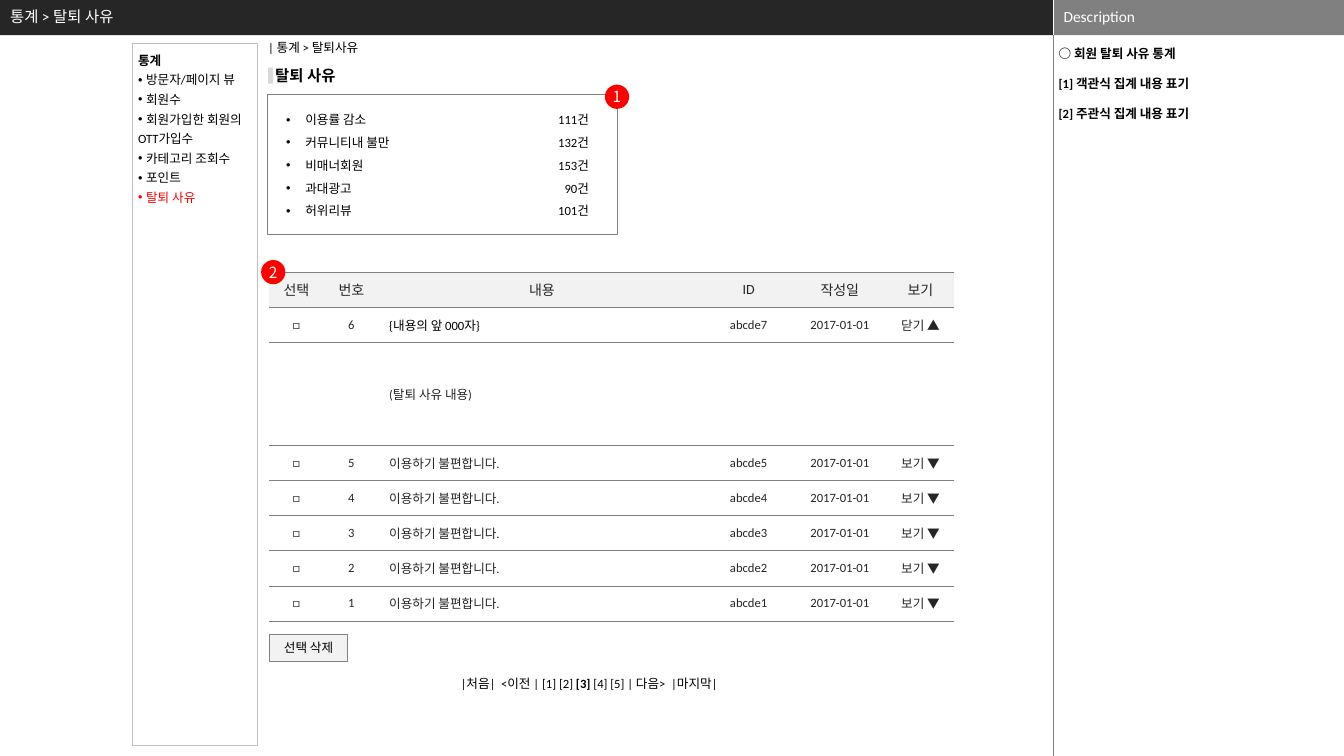
from dataclasses import dataclass, field

from lxml import etree
from pptx import Presentation
from pptx.dml.color import RGBColor
from pptx.enum.shapes import MSO_CONNECTOR, MSO_SHAPE
from pptx.enum.text import MSO_ANCHOR, MSO_AUTO_SIZE, PP_ALIGN
from pptx.oxml.ns import qn
from pptx.util import Inches, Pt

RECT, OVAL = MSO_SHAPE.RECTANGLE, MSO_SHAPE.OVAL
STRAIGHT = MSO_CONNECTOR.STRAIGHT
LEFT, CENTER, RIGHT = PP_ALIGN.LEFT, PP_ALIGN.CENTER, PP_ALIGN.RIGHT
TOP, MIDDLE = MSO_ANCHOR.TOP, MSO_ANCHOR.MIDDLE
NO_FIT = MSO_AUTO_SIZE.NONE

COLS, ROWS = 133.3, 75
COLORS = {
    "black": "000000", "white": "FFFFFF", "ink": "262626", "gray": "808080",
    "border": "BFBFBF", "mark": "D9D9D9", "pale": "F2F2F2", "red": "FF0000",
}
BODY = {"name": "Calibri", "size": Pt(9), "bold": False, "color": "black"}
BADGE = {"name": "Noto Sans CJK KR", "size": Pt(11), "color": "white"}
HEADER = {"size": Pt(11), "color": "white"}
DEFAULT_INSETS = (1, 0.5, 1, 0.5)
NO_INSETS = (0, 0, 0, 0)


@dataclass
class Line:
    runs: list
    font: dict = field(default_factory=dict)
    bullet: float = 0


def rgb(name):
    return RGBColor.from_string(COLORS[name])


def assign(target, values):
    for name, value in values.items():
        setattr(target, name, value)


class Screen:
    def __init__(self, prs):
        self.s = prs.slides.add_slide(prs.slide_layouts[5])
        self.col = prs.slide_width / COLS
        self.row = prs.slide_height / ROWS

    def place(self, x, y, w, h):
        return [round(n) for n in (x * self.col, y * self.row, w * self.col, h * self.row)]

    def paint(self, sp, fill, line, weight):
        sp.shadow.inherit = False
        for part, color in ((sp.fill, fill), (sp.line.fill, line)):
            if color:
                part.solid()
                part.fore_color.rgb = rgb(color)
            else:
                part.background()
        if line:
            sp.line.width = Pt(weight)

    def add_bullet(self, p, indent):
        pPr = p._p.get_or_add_pPr()
        pPr.set("marL", str(round(indent * self.col)))
        pPr.set("indent", str(-round(indent * self.col)))
        etree.SubElement(pPr, qn("a:buFont")).set("typeface", "Arial")
        etree.SubElement(pPr, qn("a:buChar")).set("char", "•")

    def fill_text(self, tf, lines, font=None, insets=DEFAULT_INSETS, anchor=TOP, wrap=True, gap=0, **fmt):
        left, top, right, bottom = self.place(*insets)
        assign(tf, {"auto_size": NO_FIT, "word_wrap": wrap, "vertical_anchor": anchor,
                    "margin_left": left, "margin_top": top,
                    "margin_right": right, "margin_bottom": bottom})
        for i, line in enumerate(lines):
            line = line if isinstance(line, Line) else Line([(line, {})])
            p = tf.paragraphs[0] if i == 0 else tf.add_paragraph()
            assign(p, {"alignment": LEFT, "space_before": Pt(gap if i else 0), **fmt})
            if line.bullet:
                self.add_bullet(p, line.bullet)
            for text, extra in line.runs:
                self.add_run(p, text, {**BODY, **(font or {}), **line.font, **extra})

    def add_run(self, p, text, font):
        r = p.add_run()
        r.text = text
        assign(r.font, {k: v for k, v in font.items() if k != "color"})
        r.font.color.rgb = rgb(font["color"])

    def title(self, text, box, **style):
        sp = self.s.shapes.title
        assign(sp, dict(zip(("left", "top", "width", "height"), self.place(*box))))
        self.s.shapes._spTree.append(sp._element)
        self.fill_text(sp.text_frame, [text], **style)

    def text(self, box, lines, **style):
        sp = self.s.shapes.add_textbox(*self.place(*box))
        self.fill_text(sp.text_frame, lines, **style)

    def shape(self, box, kind=RECT, fill=None, line=None, weight=0.5, lines=(), **style):
        sp = self.s.shapes.add_shape(kind, *self.place(*box))
        self.paint(sp, fill, line, weight)
        if lines:
            self.fill_text(sp.text_frame, lines, **style)

    def badge(self, x, y, number):
        self.shape((x, y, 2.4, 2.4), OVAL, "red", lines=[number], font=BADGE,
                   insets=NO_INSETS, anchor=MIDDLE, wrap=False, alignment=CENTER)

    def rule(self, x, top, bottom, color):
        x, top, _, bottom = self.place(x, top, 0, bottom)
        sp = self.s.shapes.add_connector(STRAIGHT, x, top, x, bottom)
        sp.line.width = Pt(0.25)
        sp.line.color.rgb = rgb(color)
        etree.SubElement(sp._element.spPr, qn("a:effectLst"))

    def edge(self, cell):
        tcPr = cell._tc.get_or_add_tcPr()
        for i, side in enumerate(("lnL", "lnR", "lnT", "lnB")):
            ln = etree.Element(qn(f"a:{side}"), w=str(Pt(0.5)))
            if side in ("lnT", "lnB"):
                fill = etree.SubElement(ln, qn("a:solidFill"))
                etree.SubElement(fill, qn("a:srgbClr")).set("val", COLORS["gray"])
            else:
                etree.SubElement(ln, qn("a:noFill"))
            tcPr.insert(i, ln)

    def table(self, x, y, widths, heights, rows):
        box = self.place(x, y, sum(widths), sum(heights))
        table = self.s.shapes.add_table(len(rows), len(widths), *box).table
        for column, width in zip(table.columns, widths):
            column.width = round(width * self.col)
        for i, (row, height, values) in enumerate(zip(table.rows, heights, rows)):
            row.height = round(height * self.row)
            for j, (cell, value) in enumerate(zip(row.cells, values)):
                if i:
                    cell.fill.background()
                else:
                    cell.fill.solid()
                    cell.fill.fore_color.rgb = rgb("pale")
                self.edge(cell)
                cell.vertical_anchor = MIDDLE
                p = cell.text_frame.paragraphs[0]
                p.alignment = LEFT if i and j == 2 else CENTER
                if value:
                    color = "black" if (i, j) == (1, 2) else "ink"
                    self.add_run(p, value, {**BODY, "size": Pt(9 if i else 10), "color": color})


def main():
    prs = Presentation()
    prs.slide_width, prs.slide_height = Inches(13.33), Inches(7.5)
    screen = Screen(prs)

    screen.shape((0, 0, 104.5, 3.5), fill="ink")
    screen.shape((104.5, 0, 28.8, 3.5), fill="gray")
    screen.rule(104.5, 0, 3.5, "white")
    screen.rule(104.5, 3.5, 75, "gray")
    screen.text((104.5, -0.1, 28.8, 3.5), ["Description"], font=HEADER, anchor=MIDDLE)
    screen.title("통계 > 탈퇴 사유", (0, 0, 101.6, 3.5), font=HEADER, anchor=MIDDLE, line_spacing=0.9)

    screen.text((104.6, 4.6, 23.4, 70), ["○ 회원 탈퇴 사유 통계", "[1] 객관식 집계 내용 표기", "[2] 주관식 집계 내용 표기"],
                font={"bold": True}, insets=(0.4, 0, 0.4, 0), gap=10.5)
    screen.text((25.6, 3.5, 12.1, 2.5), ["| 통계 > 탈퇴사유"], wrap=False)
    screen.text((27.3, 6.6, 6.7, 1.9), ["탈퇴 사유"], font={"size": Pt(11), "bold": True},
                insets=NO_INSETS, wrap=False)
    screen.shape((26.6, 6.7, 0.5, 1.6), fill="mark")

    menu = [Line([("통계", {})], {"bold": True})]
    menu += [Line([(name, {})], bullet=0.8) for name in ("방문자/페이지 뷰", "회원수", "회원가입한 회원의")]
    menu += ["OTT가입수"]
    menu += [Line([(name, {})], bullet=0.8) for name in ("카테고리 조회수", "포인트")]
    menu += [Line([("탈퇴 사유", {})], {"color": "red"}, 0.8)]
    screen.shape((13.1, 4.3, 12.4, 69.7), line="border", weight=0.75, lines=menu,
                 insets=(0.6, 0.5, 0, 0.5), line_spacing=Pt(14))

    reasons = {"이용률 감소": 111, "커뮤니티내 불만": 132, "비매너회원": 153, "과대광고": 90, "허위리뷰": 101}
    screen.text((27.4, 9.9, 25.9, 12.4), [Line([(name, {})], bullet=1.9) for name in reasons], line_spacing=1.5)
    screen.text((53.6, 9.9, 5.8, 12.4), [f"{count}건" for count in reasons.values()],
                alignment=RIGHT, line_spacing=1.5)
    screen.shape((26.5, 9.4, 34.7, 13.9), line="gray")
    screen.badge(60, 8.4, "1")

    rows = [("선택", "번호", "내용", "ID", "작성일", "보기"),
            ("□", "6", "{내용의 앞 000자}", "abcde7", "2017-01-01", "닫기 ▲"),
            ("", "", "(탈퇴 사유 내용)", "", "", "")]
    rows += [("□", str(n), "이용하기 불편합니다.", f"abcde{n}", "2017-01-01", "보기 ▼") for n in range(5, 0, -1)]
    screen.table(26.7, 27, (5.4, 5.5, 32.3, 8.7, 9.4, 6.6), [3.49] * 2 + [10.2] + [3.49] * 5, rows)
    screen.badge(25.9, 25.8, "2")

    screen.shape((26.7, 62.9, 7.8, 2.7), fill="pale", line="gray", lines=["선택 삭제"],
                 insets=(0.4,) * 4, anchor=MIDDLE, wrap=False, alignment=CENTER)
    pager = [("|처음|  <이전 | [1] [2] ", {}), ("[3]", {"bold": True}), (" [4] [5] | 다음>  |마지막|", {})]
    screen.text((44.7, 66.6, 28.5, 2.5), [Line(pager)])
    prs.save("out.pptx")


if __name__ == "__main__":
    main()
